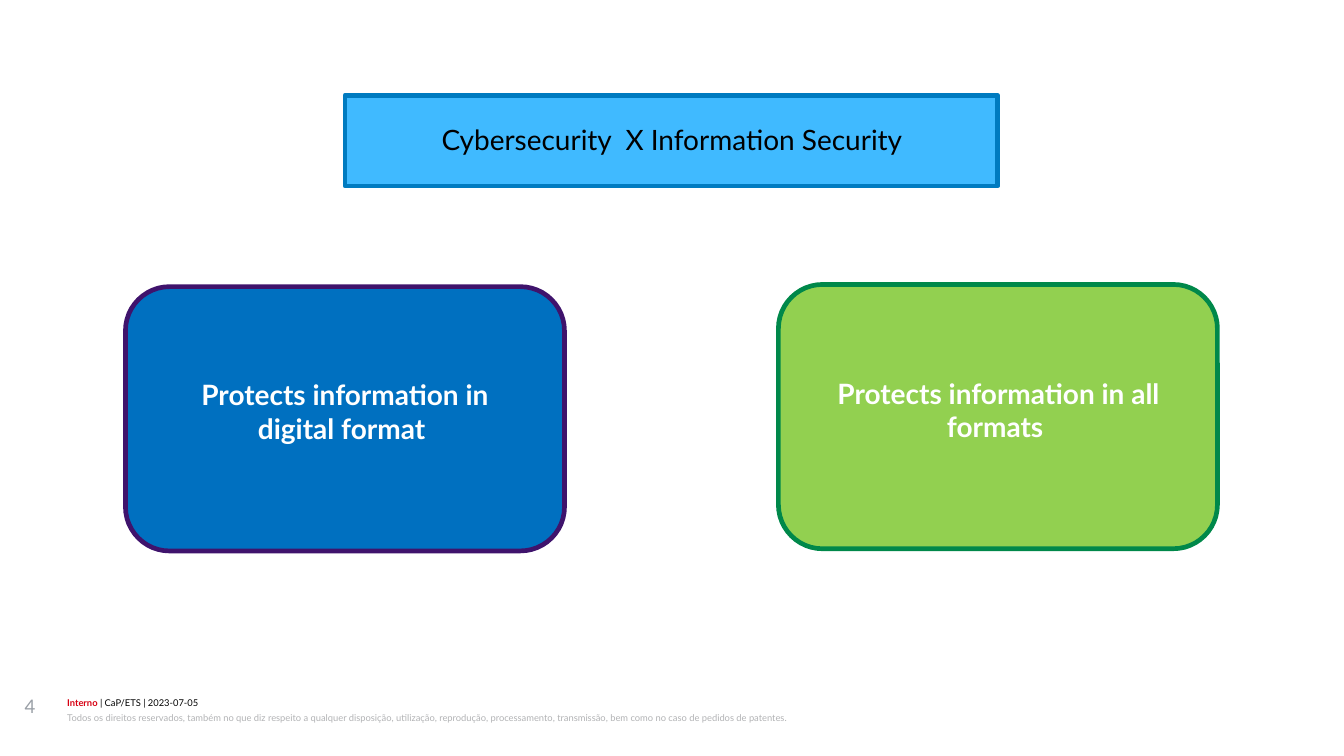
from pptx import Presentation
from pptx.dml.color import RGBColor
from pptx.enum.shapes import MSO_SHAPE as Shape
from pptx.enum.text import MSO_ANCHOR as Anchor, PP_ALIGN as Align
from pptx.util import Inches, Pt

BLACK = RGBColor(0x00, 0x00, 0x00)
WHITE = RGBColor(0xFF, 0xFF, 0xFF)
RED = RGBColor(0xD7, 0x00, 0x12)
NUMBER_GRAY = RGBColor(0x99, 0x9F, 0xA6)
NOTICE_GRAY = RGBColor(0xB2, 0xB3, 0xB5)
SKY = RGBColor(0x40, 0xBA, 0xFF)
SKY_EDGE = RGBColor(0x00, 0x7B, 0xC0)
BLUE = RGBColor(0x00, 0x70, 0xC0)
PURPLE = RGBColor(0x3F, 0x13, 0x6C)
LIME = RGBColor(0x92, 0xD0, 0x50)
GREEN = RGBColor(0x00, 0x88, 0x4A)


class SlideBuilder:
    font_name = "Lato"
    border_width = Pt(3)

    def __init__(self, slide):
        self.slide = slide

    def panel(self, kind, box, fill, edge):
        shape = self.slide.shapes.add_shape(kind, *map(Inches, box))
        shape.shadow.inherit = False
        shape.fill.solid()
        shape.fill.fore_color.rgb = fill
        shape.line.color.rgb = edge
        shape.line.width = self.border_width

    def text(self, box, runs, size, align=Align.LEFT, line_spacing=None):
        """Add one paragraph; each run is (text, color, bold)."""
        text_frame = self.slide.shapes.add_textbox(*map(Inches, box)).text_frame
        text_frame.word_wrap = True
        text_frame.vertical_anchor = Anchor.TOP
        text_frame.margin_left = text_frame.margin_right = 0
        text_frame.margin_top = text_frame.margin_bottom = 0
        paragraph = text_frame.paragraphs[0]
        paragraph.alignment = align
        paragraph.line_spacing = line_spacing
        for text, color, bold in runs:
            run = paragraph.add_run()
            run.text = text
            run.font.name = self.font_name
            run.font.size = Pt(size)
            run.font.bold = bold
            run.font.color.rgb = color


def main():
    presentation = Presentation()
    presentation.slide_width = Inches(12)
    presentation.slide_height = Inches(6.75)
    builder = SlideBuilder(presentation.slides.add_slide(presentation.slide_layouts[6]))

    builder.text((0.6, 6.22, 9.98, 0.12),
                 [("Interno", RED, True), (" | CaP/ETS | 2023-07-05", BLACK, False)],
                 6, line_spacing=1.07)
    builder.text((0.6, 6.34, 9.98, 0.24),
                 [("Todos os direitos reservados, também no que diz respeito a qualquer "
                   "disposição, utilização, reprodução, processamento, transmissão, "
                   "bem como no caso de pedidos de patentes.", NOTICE_GRAY, False)],
                 6, line_spacing=1.2)
    builder.text((0.22, 6.2, 0.32, 0.45), [("4", NUMBER_GRAY, False)], 12)

    builder.panel(Shape.RECTANGLE, (3.08, 0.85, 5.83, 0.81), SKY, SKY_EDGE)
    builder.text((3.38, 1.09, 5.24, 0.46),
                 [("Cybersecurity  X Information Security", BLACK, False)],
                 18, Align.CENTER)

    cards = [
        (6.95, 2.54, LIME, GREEN, (7.44, 3.36, 2.95, 0.71),
         "Protects information in all formats "),
        (1.12, 2.56, BLUE, PURPLE, (1.62, 3.37, 2.92, 0.7),
         "Protects information in digital format "),
    ]
    for left, top, fill, edge, text_box, text in cards:
        builder.panel(Shape.ROUNDED_RECTANGLE, (left, top, 3.92, 2.36), fill, edge)
        builder.text(text_box, [(text, WHITE, True)], 18, Align.CENTER)

    presentation.save("out.pptx")


if __name__ == "__main__":
    main()
